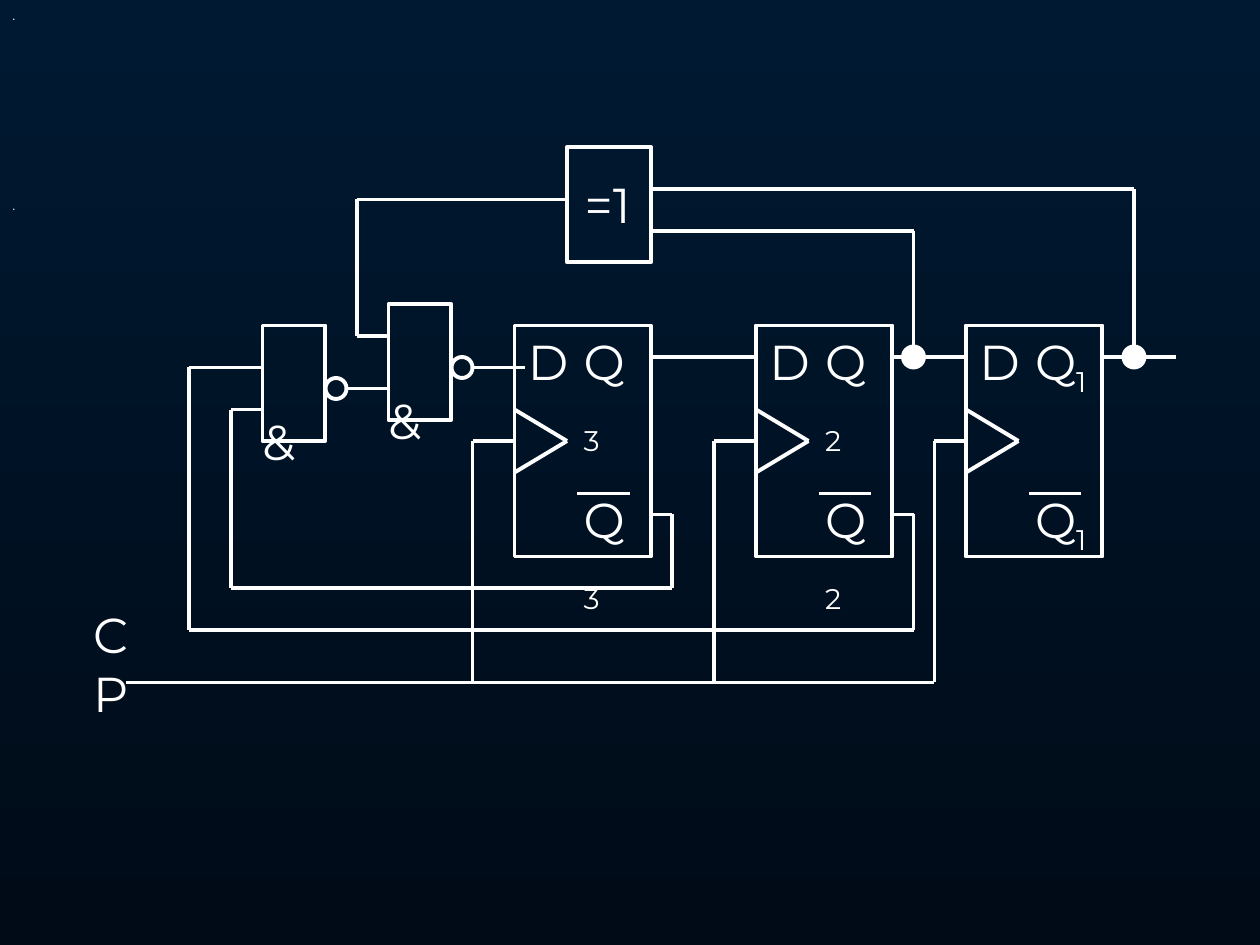
"""Build a slide with the logic diagram of a three-stage feedback shift register."""
import itertools

import pptx
import pptx.dml.color
import pptx.enum.shapes
import pptx.enum.text
import pptx.util

PX = 7620
WHITE = "FFFFFF"
color = pptx.dml.color.RGBColor.from_string
kinds = pptx.enum.shapes.MSO_SHAPE

deck = pptx.Presentation()
deck.slide_width, deck.slide_height = 1200 * PX, 900 * PX
page = deck.slides.add_slide(deck.slide_layouts[6])
background = page.background.fill
background.gradient()
background.gradient_angle = 270
for stop, (position, shade) in zip(background.gradient_stops, [(0, "001932"), (1, "000B17")]):
    stop.position = position
    stop.color.rgb = color(shade)


def wire(*points):
    """Draw straight segments through the points and return them."""
    segments = []
    for start, end in itertools.pairwise(points):
        segment = page.shapes.add_connector(
            pptx.enum.shapes.MSO_CONNECTOR.STRAIGHT, *(value * PX for value in start + end))
        segment.line.color.rgb = color(WHITE)
        segment.line.width = pptx.util.Pt(2.25)
        properties = segment._element.spPr
        properties.append(properties.makeelement(
            "{http://schemas.openxmlformats.org/drawingml/2006/main}effectLst", {}))
        segments.append(segment)
    return segments


def label(text, left, top, width, height, subscript="", size=28, shade=WHITE):
    """Add a wrapped text box with an optional subscript and return its frame."""
    box = page.shapes.add_textbox(left * PX, top * PX, width * PX, height * PX)
    frame = box.text_frame
    frame.word_wrap = True
    para = frame.paragraphs[0]
    para.text = text
    if subscript:
        span = para.add_run()
        span.text = subscript
        span._r.get_or_add_rPr().set("baseline", "-25000")
    for span in para.runs:
        span.font.name = "Montserrat"
        span.font.size = pptx.util.Pt(size)
        span.font.color.rgb = color(shade)
    return frame


title = label(".", 0, 180, 1020, 29, size=8, shade="CCFFFF")
title.vertical_anchor = pptx.enum.text.MSO_ANCHOR.BOTTOM
label(".", 0, 0, 1170, 900, size=8)

flip_flops = [("1", 920, 890), ("2", 720, 680), ("3", 490, 450)]
outlines = [(kinds.RECTANGLE, left, 310, 130, 220, False) for _, left, _ in flip_flops]
outlines += [
    (kinds.RECTANGLE, 540, 140, 80, 110, False),
    (kinds.RECTANGLE, 370, 290, 60, 110, False),
    (kinds.RECTANGLE, 250, 310, 60, 110, False),
    (kinds.OVAL, 430, 340, 20, 20, False),
    (kinds.OVAL, 310, 360, 20, 20, False),
    (kinds.OVAL, 860, 330, 20, 20, True),
    (kinds.OVAL, 1070, 330, 20, 20, True),
]
parts = []
for kind, left, top, width, height, solid in outlines:
    part = page.shapes.add_shape(kind, left * PX, top * PX, width * PX, height * PX)
    part.shadow.inherit = False
    if solid:
        part.fill.solid()
        part.fill.fore_color.rgb = color(WHITE)
    else:
        part.fill.background()
    part.line.color.rgb = color(WHITE)
    part.line.width = pptx.util.Pt(2.25)
    parts.append(part)

for register, (number, left, clock) in zip(parts, flip_flops):
    wire((left, 390), (left + 50, 420), (left, 450))
    wire((left + 60, 470), (left + 110, 470))
    label("D", left + 1, 310, 58, 68)
    for top in (310, 460):
        label("Q", left + 54, top, 76, 76, subscript=number)
    clock_input = wire((left, 420), (clock, 420), (clock, 650))[0]
    clock_input.begin_connect(register, 1)

for text, left, top, width in [("=1", 545, 160, 76), (" &", 358, 310, 66),
                               (" &", 238, 330, 66), ("CP", 77, 570, 82)]:
    label(text, left, top, width, 68)

wire((120, 650), (890, 650))
wire((620, 340), (720, 340))
wire((850, 340), (920, 340))
wire((1050, 340), (1120, 340))
wire((330, 370), (370, 370))
wire((450, 350), (500, 350))
wire((620, 180), (1080, 180), (1080, 340))
wire((620, 220), (870, 220), (870, 340))
wire((540, 190), (340, 190), (340, 320), (370, 320))
wire((620, 490), (640, 490), (640, 560), (220, 560), (220, 390), (250, 390))
wire((850, 490), (870, 490), (870, 600), (180, 600), (180, 350), (250, 350))

deck.save("out.pptx")
